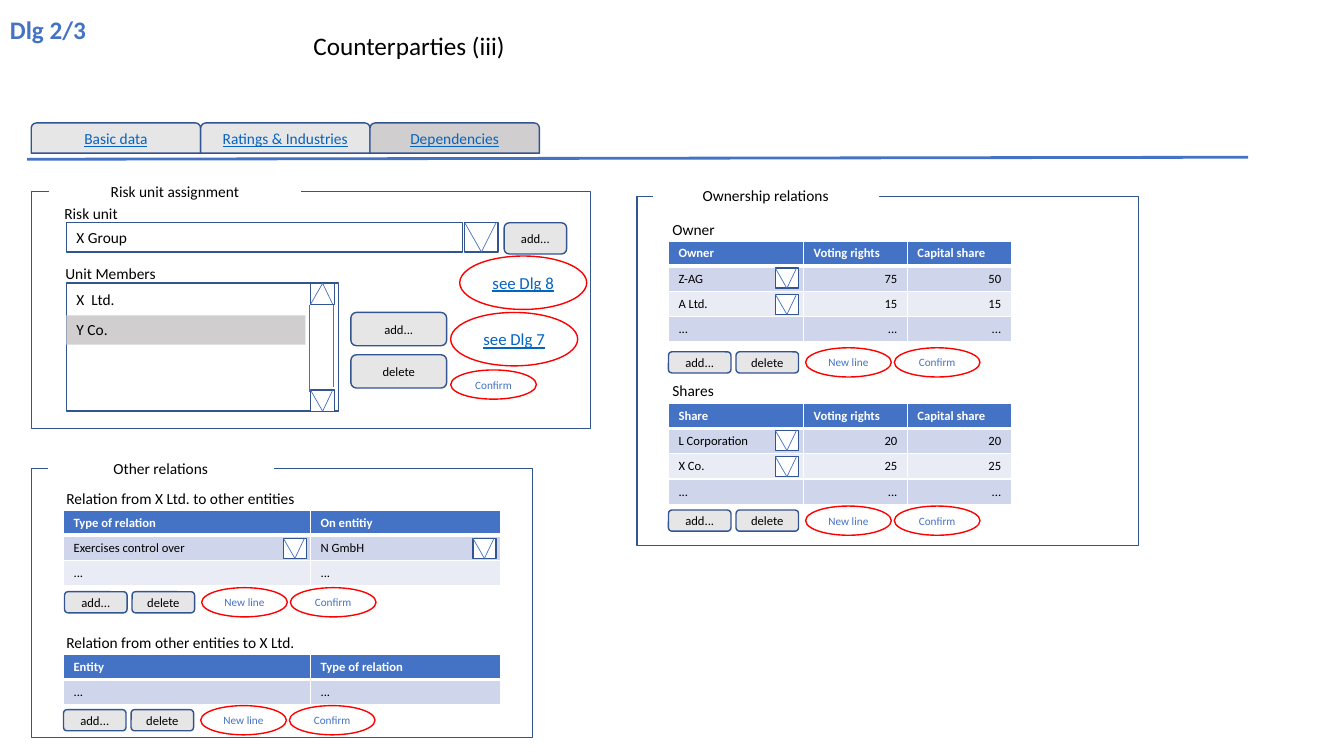
from dataclasses import dataclass

from lxml import etree
from pptx import Presentation
from pptx.dml.color import RGBColor
from pptx.enum.shapes import MSO_CONNECTOR, MSO_SHAPE
from pptx.enum.text import MSO_ANCHOR, MSO_AUTO_SIZE, PP_ALIGN
from pptx.oxml.ns import qn
from pptx.util import Inches, Pt

RECT = MSO_SHAPE.RECTANGLE
ROUNDED = MSO_SHAPE.ROUNDED_RECTANGLE
TAB = MSO_SHAPE.ROUND_2_SAME_RECTANGLE
OVAL = MSO_SHAPE.OVAL
STRAIGHT = MSO_CONNECTOR.STRAIGHT
LEFT, CENTER, RIGHT = PP_ALIGN.LEFT, PP_ALIGN.CENTER, PP_ALIGN.RIGHT
TOP, MIDDLE = MSO_ANCHOR.TOP, MSO_ANCHOR.MIDDLE
FIT = MSO_AUTO_SIZE.SHAPE_TO_FIT_TEXT


@dataclass(frozen=True)
class Theme:
    """Colours, font and type sizes of the dialog."""
    font: str = "Calibri"
    white: str = "FFFFFF"
    black: str = "000000"
    outline: str = "325491"
    accent: str = "4472C4"
    link: str = "0563C1"
    callout: str = "FF0000"
    button: str = "E7E6E6"
    selected: str = "D0CECE"
    bands: tuple = ("CFD5EA", "E9EBF5")
    title: int = 18
    jump: int = 12
    body: int = 11
    small: int = 9
    note: int = 8


THEME = Theme()


def rgb(color):
    """Turn a hex string into a colour."""
    return RGBColor.from_string(color)


def write(frame, text, size=THEME.body, color=THEME.black, align=LEFT,
          anchor=TOP, bold=False, underline=False):
    """Put one formatted line of text into a text frame."""
    frame.vertical_anchor = anchor
    paragraph = frame.paragraphs[0]
    paragraph.alignment = align
    run = paragraph.add_run()
    run.text = text
    run.font.name = THEME.font
    run.font.size = Pt(size)
    run.font.bold = bold
    run.font.underline = underline
    run.font.color.rgb = rgb(color)


def add_box(shapes, kind, box, fill=THEME.white, line=THEME.outline, text=None, **style):
    """Add a filled, outlined shape with optional text."""
    shape = shapes.add_shape(kind, *map(Inches, box))
    shape.shadow.inherit = False
    shape.fill.solid()
    shape.fill.fore_color.rgb = rgb(fill)
    shape.line.color.rgb = rgb(line)
    shape.line.width = Pt(1)
    if text:
        write(shape.text_frame, text, **{"align": CENTER, "anchor": MIDDLE, **style})


def add_label(shapes, box, text, wrap=False, fill=None, **style):
    """Add a text box."""
    label = shapes.add_textbox(*map(Inches, box))
    label.text_frame.word_wrap = wrap
    label.text_frame.auto_size = FIT
    if fill:
        label.fill.solid()
        label.fill.fore_color.rgb = rgb(fill)
    write(label.text_frame, text, **style)


def add_line(shapes, start, end, width=0.5):
    """Add a straight line without shadow."""
    line = shapes.add_connector(STRAIGHT, *map(Inches, (*start, *end)))
    line.line.color.rgb = rgb(THEME.accent)
    line.line.width = Pt(width)
    etree.SubElement(line._element.spPr, qn("a:effectLst"))


def add_arrow_box(shapes, left, top, width=0.23, height=0.2, up=False):
    """Add a small box with a V, or an inverted V, inside."""
    group = shapes.add_group_shape().shapes
    add_box(group, RECT, (left, top, width, height))
    base, tip = (top + height, top) if up else (top, top + height)
    for side in (left, left + width - 0.02):
        add_line(group, (side, base), (left + width / 2, tip))


def add_panel(shapes, frame, legend, title):
    """Add a framed panel whose title interrupts the top edge."""
    add_box(shapes, RECT, frame)
    add_box(shapes, RECT, legend, line=THEME.white, text=title)


def set_borders(cell, bottom):
    """Give a cell white borders with the given bottom width."""
    properties = cell._tc.get_or_add_tcPr()
    for edge, width in (("L", 1), ("R", 1), ("T", 1), ("B", bottom)):
        border = etree.SubElement(properties, qn(f"a:ln{edge}"), w=str(Pt(width)))
        fill = etree.SubElement(border, qn("a:solidFill"))
        etree.SubElement(fill, qn("a:srgbClr"), val=THEME.white)


def add_grid(shapes, left, top, widths, rows, value_align=LEFT):
    """Add a banded table with a header row."""
    row_height = 0.25
    table = shapes.add_table(len(rows), len(widths), Inches(left), Inches(top),
                             Inches(sum(widths)), Inches(row_height * len(rows))).table
    for column, width in zip(table.columns, widths):
        column.width = Inches(width)
    for r, values in enumerate(rows):
        table.rows[r].height = Inches(row_height)
        header = r == 0
        for c, value in enumerate(values):
            cell = table.cell(r, c)
            set_borders(cell, 3 if header else 1)
            cell.fill.solid()
            cell.fill.fore_color.rgb = rgb(THEME.accent if header else THEME.bands[(r - 1) % 2])
            write(cell.text_frame, value, size=THEME.small, bold=header,
                  color=THEME.white if header else THEME.black,
                  align=LEFT if header or c == 0 else value_align)


def add_button(shapes, text, left, top, width=0.62, height=0.21):
    """Add a grey push button."""
    add_box(shapes, ROUNDED, (left, top, width, height), THEME.button,
            text=text, size=THEME.small)


def add_note(shapes, text, left, top):
    """Add a small red oval remark."""
    add_box(shapes, OVAL, (left, top, 0.85, 0.29), line=THEME.callout,
            text=text, size=THEME.note, color=THEME.accent)


def add_jump(shapes, text, left, top):
    """Add a large red oval reference to another dialog."""
    add_box(shapes, OVAL, (left, top, 1.26, 0.53), line=THEME.callout,
            text=text, size=THEME.jump, color=THEME.link, underline=True)


def add_row_actions(shapes, left, top):
    """Add the add and delete buttons of a table, then their remarks beside them."""
    for i, (action, remark) in enumerate((("add...", "New line"), ("delete", "Confirm"))):
        add_button(shapes, action, left + 0.67 * i, top)
        add_note(shapes, remark, left + 1.36 + 0.88 * i, top - 0.04)


def add_header(shapes):
    """Add the titles and the tab strip."""
    add_label(shapes, (0, 0.09, 0.96, 0.4), "Dlg 2/3", size=THEME.title,
              color=THEME.accent, bold=True)
    add_label(shapes, (3.01, 0.25, 2.12, 0.4), "Counterparties (iii)", size=THEME.title)
    add_line(shapes, (0.27, 1.58), (12.38, 1.56), 2)
    tabs = (("Basic data", THEME.button), ("Ratings & Industries", THEME.button),
            ("Dependencies", THEME.selected))
    for i, (name, fill) in enumerate(tabs):
        add_box(shapes, TAB, (0.31 + 1.68 * i, 1.22, 1.68, 0.3), fill,
                text=name, color=THEME.link, underline=True)


def add_risk_unit(shapes):
    """Add the risk unit panel with its member list."""
    add_panel(shapes, (0.31, 1.9, 5.55, 2.35), (0.49, 1.82, 2.49, 0.16), "Risk unit assignment")
    add_label(shapes, (0.54, 1.98, 0.73, 0.29), "Risk unit")
    add_box(shapes, RECT, (0.66, 2.21, 3.93, 0.29), text="X Group", align=LEFT)
    add_arrow_box(shapes, 4.61, 2.21, 0.33, 0.29)
    add_label(shapes, (0.55, 2.57, 1.1, 0.29), "Unit Members")
    add_box(shapes, RECT, (0.66, 2.81, 2.7, 1.27))
    add_arrow_box(shapes, 3.08, 2.81, 0.24, 0.21, up=True)
    add_arrow_box(shapes, 3.08, 3.87, 0.24, 0.21)
    for side, bottom in ((3.07, 3.89), (3.31, 3.84)):
        add_line(shapes, (side, 3.03), (side, bottom))
    add_label(shapes, (0.66, 2.83, 2.37, 0.29), "X  Ltd.", wrap=True)
    add_label(shapes, (0.66, 3.13, 2.37, 0.29), "Y Co.", wrap=True, fill=THEME.selected)
    add_button(shapes, "add...", 5, 2.21, height=0.31)
    add_button(shapes, "add...", 3.48, 3.1, 0.95, 0.33)
    add_button(shapes, "delete", 3.48, 3.52, 0.95, 0.33)
    add_jump(shapes, "see Dlg 7", 4.47, 3.1)
    add_note(shapes, "Confirm", 4.47, 3.67)
    add_jump(shapes, "see Dlg 8", 4.56, 2.54)


def add_ownership(shapes):
    """Add the ownership panel with its two tables."""
    add_panel(shapes, (6.32, 1.95, 4.97, 3.46), (6.48, 1.82, 2.23, 0.24), "Ownership relations")
    add_label(shapes, (6.57, 2.13, 0.63, 0.29), "Owner")
    add_label(shapes, (6.57, 3.73, 0.62, 0.29), "Shares")
    holdings = ((2.39, "Owner", ("Z-AG", "75", "50"), ("A Ltd.", "15", "15")),
                (4, "Share", ("L Corporation", "20", "20"), ("X Co.", "25", "25")))
    for top, heading, *entries in holdings:
        rows = [(heading, "Voting rights", "Capital share"), *entries, ("...",) * 3]
        add_grid(shapes, 6.63, top, (1.34, 1.03, 1.03), rows, RIGHT)
        for i in range(len(entries)):
            add_arrow_box(shapes, 7.69, top + 0.27 + 0.26 * i)
    add_row_actions(shapes, 6.63, 3.49)
    add_row_actions(shapes, 6.63, 5.06)


def add_other_relations(shapes):
    """Add the panel for other relations with its two tables."""
    add_panel(shapes, (0.31, 4.65, 4.97, 2.67), (0.48, 4.56, 2.23, 0.18), "Other relations")
    add_label(shapes, (0.56, 4.8, 2.49, 0.29), "Relation from X Ltd. to other entities")
    add_label(shapes, (0.56, 6.23, 2.53, 0.29), "Relation from other entities to X Ltd.")
    widths, blank = (2.45, 1.89), ("...", "...")
    add_grid(shapes, 0.63, 5.06, widths, [("Type of relation", "On entitiy"),
                                          ("Exercises control over", "N GmbH"), blank])
    add_grid(shapes, 0.63, 6.49, widths, [("Entity", "Type of relation"), blank])
    for left in (2.81, 4.69):
        add_arrow_box(shapes, left, 5.34)
    add_row_actions(shapes, 0.64, 5.87)
    add_row_actions(shapes, 0.63, 7.04)


def main():
    """Build the dialog slide and save it."""
    deck = Presentation()
    deck.slide_width, deck.slide_height = Inches(13.33), Inches(7.5)
    shapes = deck.slides.add_slide(deck.slide_layouts[6]).shapes
    for add_part in (add_ownership, add_risk_unit, add_other_relations, add_header):
        add_part(shapes)
    deck.save("out.pptx")


main()
